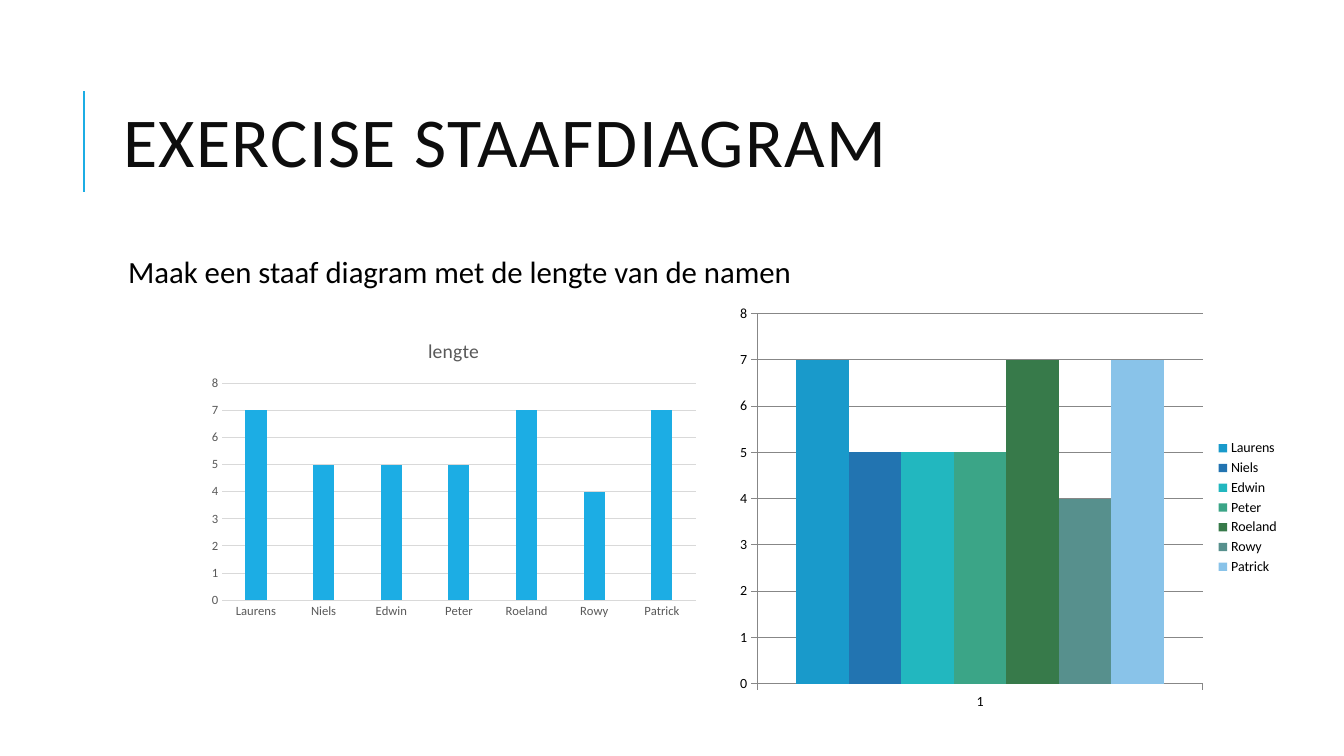
from lxml.etree import SubElement
from pptx import Presentation
from pptx.chart.data import CategoryChartData
from pptx.dml.color import RGBColor
from pptx.enum.chart import XL_CHART_TYPE as ChartType, XL_LEGEND_POSITION as LegendPosition, XL_TICK_MARK as TickMark
from pptx.enum.shapes import MSO_CONNECTOR as Connector
from pptx.enum.text import MSO_ANCHOR as Anchor, MSO_AUTO_SIZE as AutoSize, PP_ALIGN as Align
from pptx.oxml.ns import qn
from pptx.util import Inches, Pt

ACCENT, GREY, PALE, AXIS = "1CADE4", "595959", "D9D9D9", "878787"
NAME_LENGTHS = {"Laurens": 7, "Niels": 5, "Edwin": 5, "Peter": 5, "Roeland": 7, "Rowy": 4, "Patrick": 7}
NAME_COLOURS = ["199ACB", "2274B1", "22B7BF", "3BA587", "377A4A", "57908D", "89C3E9"]


def rgb(value):
    return RGBColor.from_string(value)


class ExerciseSlide:
    """Hold the font and the current slide, and draw each kind of element on it."""

    def __init__(self, slide, font="Calibri"):
        self.slide = slide
        self.font = font

    def style(self, font, size, colour):
        font.name, font.size, font.bold = self.font, Pt(size), False
        font.color.rgb = rgb(colour)

    def stroke(self, line, colour, width=0.75):
        line.color.rgb = rgb(colour)
        line.width = Pt(width)

    def placeholder(self, holder, box, text, size, colour, anchor, spacing):
        holder.left, holder.top, holder.width, holder.height = map(Inches, box)
        frame = holder.text_frame
        frame.text = text
        frame.word_wrap, frame.auto_size = True, AutoSize.NONE
        frame.vertical_anchor = anchor
        paragraph = frame.paragraphs[0]
        paragraph.alignment = Align.LEFT
        paragraph.line_spacing = spacing
        paragraph.space_before = Pt(0)
        return frame, paragraph, lambda: self.style(paragraph.font, size, colour)

    def title(self, box, text):
        _, paragraph, apply_font = self.placeholder(
            self.slide.shapes.title, box, text, 50, "0D0D0D", Anchor.MIDDLE, 0.8)
        apply_font()
        paragraph.runs[0].font._element.set("spc", "100")

    def body(self, box, text):
        frame, paragraph, apply_font = self.placeholder(
            self.slide.placeholders[1], box, text, 22, "000000", Anchor.TOP, 0.9)
        frame.margin_left = frame.margin_right = Inches(0.05)
        frame.margin_top = frame.margin_bottom = Inches(0.05)
        paragraph.space_after = Pt(2)
        properties = paragraph._p.get_or_add_pPr()
        properties.set("marL", str(Inches(0.1)))
        properties.set("indent", str(Inches(-0.1)))
        bullet_colour = SubElement(properties, qn("a:buClr"))
        SubElement(bullet_colour, qn("a:srgbClr"), val=ACCENT)
        SubElement(properties, qn("a:buChar"), char=" ")
        apply_font()

    def rule(self, start, end):
        line = self.slide.shapes.add_connector(Connector.STRAIGHT, *map(Inches, start + end))
        self.stroke(line.line, ACCENT, 1.5)
        SubElement(line._element.spPr, qn("a:effectLst"))

    def columns(self, box, categories, series, colours, gap, overlap, tick, label, line, grid):
        data = CategoryChartData()
        data.categories = categories
        for name, values in series.items():
            data.add_series(name, values)
        chart = self.slide.shapes.add_chart(
            ChartType.COLUMN_CLUSTERED, *map(Inches, box), data).chart
        self.style(chart.font, 10, "000000")
        chart.has_title = chart.has_legend = False
        plot = chart.plots[0]
        plot.gap_width, plot.overlap, plot.vary_by_categories = gap, overlap, False
        for bars, colour in zip(plot.series, colours):
            bars.format.fill.solid()
            bars.format.fill.fore_color.rgb = rgb(colour)
        for axis in (chart.category_axis, chart.value_axis):
            axis.major_tick_mark, axis.minor_tick_mark = tick, TickMark.NONE
            self.style(axis.tick_labels.font, *label)
            self.stroke(axis.format.line, line)
        lengths = chart.value_axis
        lengths.minimum_scale, lengths.maximum_scale, lengths.major_unit = 0, 8, 1
        lengths.has_major_gridlines = True
        self.stroke(lengths.major_gridlines.format.line, grid)
        return chart

    def chart_title(self, chart, text):
        chart.has_title = True
        chart.chart_title.include_in_layout = False
        frame = chart.chart_title.text_frame
        frame.text = text
        self.style(frame.paragraphs[0].font, 14, GREY)

    def legend(self, chart):
        chart.has_legend = True
        chart.legend.position = LegendPosition.RIGHT
        chart.legend.include_in_layout = False
        self.style(chart.legend.font, 10, "000000")


def main():
    deck = Presentation()
    deck.slide_width, deck.slide_height = Inches(13.33), Inches(7.5)
    exercise = ExerciseSlide(deck.slides.add_slide(deck.slide_layouts[1]))

    exercise.rule((0.83, 1.9), (0.83, 0.9))
    exercise.title((1.12, 0.64, 10.63, 1.64), "EXERCISE STAAFDIAGRAM")
    exercise.body((1.12, 2.5, 10.63, 4.4), "Maak een staaf diagram met de lengte van de namen")

    by_category = exercise.columns(
        (2, 3.2, 5, 3), list(NAME_LENGTHS), {"lengte": list(NAME_LENGTHS.values())},
        [ACCENT], 219, -27, TickMark.NONE, (9, GREY), PALE, PALE)
    by_category.value_axis.format.line.fill.background()
    exercise.chart_title(by_category, "lengte")

    by_series = exercise.columns(
        (7.23, 2.95, 5.56, 4.17), ["1"], {name: [length] for name, length in NAME_LENGTHS.items()},
        NAME_COLOURS, 150, 0, TickMark.OUTSIDE, (10, "000000"), AXIS, AXIS)
    exercise.legend(by_series)

    deck.save("out.pptx")


if __name__ == "__main__":
    main()
